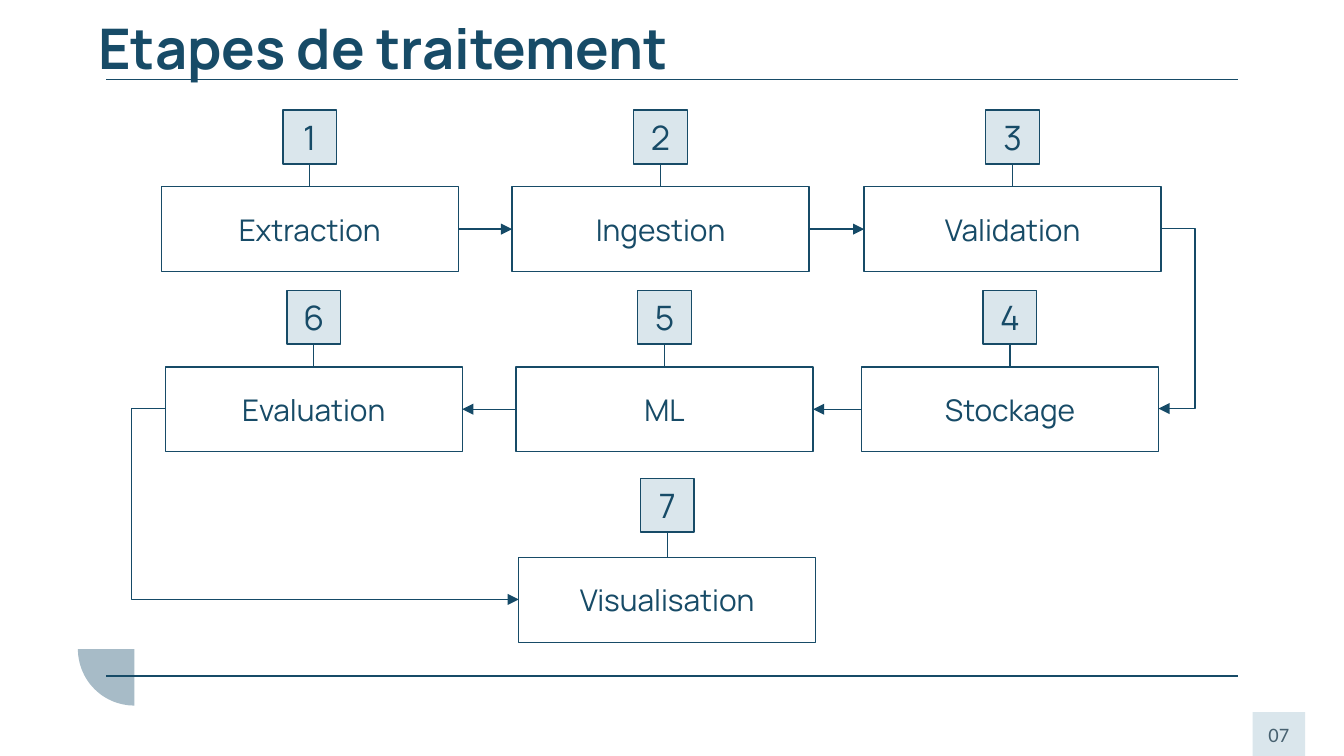
"""Build the slide "Etapes de traitement": a seven-step processing flow."""
import math

from lxml import etree
from pptx import Presentation
from pptx.dml.color import RGBColor
from pptx.enum import shapes, text
from pptx.oxml.ns import qn
from pptx.util import Inches, Pt

NAVY = RGBColor(0x17, 0x4B, 0x67)
ARROW = RGBColor(0x15, 0x4A, 0x67)
PALE = RGBColor(0xDA, 0xE6, 0xEC)
MIST = RGBColor(0xA7, 0xBB, 0xC7)
SLATE = RGBColor(0x47, 0x61, 0x70)
BOX_W, BOX_H, BADGE = 2.21, 0.63, 0.4


def add_box(label, x, y, w, h, size, fill=None, line=NAVY, font="Manrope", color=NAVY):
    sp = s.shapes.add_shape(shapes.MSO_SHAPE.RECTANGLE, Inches(x), Inches(y), Inches(w), Inches(h))
    sp.shadow.inherit = False
    if fill is None:
        sp.fill.background()
    else:
        sp.fill.solid()
        sp.fill.fore_color.rgb = fill
    if line is None:
        sp.line.fill.background()
    else:
        sp.line.color.rgb = line
        sp.line.width = Pt(0.75)
    tf = sp.text_frame
    tf.word_wrap = True
    tf.vertical_anchor = text.MSO_ANCHOR.MIDDLE
    tf.margin_left = tf.margin_right = tf.margin_top = tf.margin_bottom = Inches(0.1)
    p = tf.paragraphs[0]
    p.alignment = text.PP_ALIGN.CENTER
    r = p.add_run()
    r.text = label
    r.font.size = Pt(size)
    r.font.name = font
    r.font.color.rgb = color
    return sp


def add_line(x1, y1, x2, y2, color=NAVY, arrow=False, via=None):
    kind = shapes.MSO_CONNECTOR.STRAIGHT if via is None else shapes.MSO_CONNECTOR.ELBOW
    cxn = s.shapes.add_connector(kind, Inches(x1), Inches(y1), Inches(x2), Inches(y2))
    cxn.line.color.rgb = color
    cxn.line.width = Pt(0.75)
    sp_pr = cxn._element.spPr
    if arrow:
        etree.SubElement(sp_pr.find(qn("a:ln")), qn("a:tailEnd"), type="triangle")
    if via is not None:
        guides = sp_pr.find(qn("a:prstGeom")).find(qn("a:avLst"))
        bend = round((via - x1) / (x2 - x1) * 100000)
        etree.SubElement(guides, qn("a:gd"), name="adj1", fmla=f"val {bend}")
    etree.SubElement(sp_pr, qn("a:effectLst"))
    return cxn


prs = Presentation()
prs.slide_width = Inches(10)
prs.slide_height = Inches(10) * 9 // 16
s = prs.slides.add_slide(prs.slide_layouts[5])

arc = [math.radians(180 - 3 * i) for i in range(31)]
points = [(Inches(1 + 0.42 * math.cos(a)), Inches(4.83 + 0.42 * math.sin(a))) for a in arc]
builder = s.shapes.build_freeform(Inches(1), Inches(4.83))
builder.add_line_segments(points, close=True)
quarter = builder.convert_to_shape()
quarter.shadow.inherit = False
quarter.fill.solid()
quarter.fill.fore_color.rgb = MIST
quarter.line.fill.background()

for y in (0.59, 5.03):
    add_line(0.79, y, 9.21, y)

title = s.shapes.title
title.left, title.top, title.width, title.height = Inches(0.63), Inches(0), Inches(8.43), Inches(0.57)
tf = title.text_frame
tf.auto_size = text.MSO_AUTO_SIZE.NONE
tf.word_wrap = True
tf.vertical_anchor = text.MSO_ANCHOR.TOP
tf.margin_left = tf.margin_right = tf.margin_top = tf.margin_bottom = Inches(0.1)
p = tf.paragraphs[0]
p.alignment = text.PP_ALIGN.LEFT
p.line_spacing = 1.0
r = p.add_run()
r.text = "Etapes de traitement"
r.font.size = Pt(30)
r.font.name = "Manrope"
r.font.bold = True
r.font.color.rgb = NAVY

steps = [
    ("Extraction", 1.2, 1.39, 0.82),
    ("Ingestion", 3.81, 1.39, 0.82),
    ("Validation", 6.43, 1.39, 0.82),
    ("Stockage", 6.41, 2.73, 2.16),
    ("ML", 3.84, 2.73, 2.16),
    ("Evaluation", 1.23, 2.73, 2.16),
    ("Visualisation", 3.86, 4.15, 3.56),
]
boxes = []
for number, (label, x, y, badge_y) in enumerate(steps, 1):
    box = add_box(label, x, y, BOX_W, BOX_H, 16)
    center = x + BOX_W / 2
    badge = add_box(str(number), center - BADGE / 2, badge_y, BADGE, BADGE, 18, PALE)
    stem = add_line(center, badge_y + BADGE, center, y, NAVY if number < 6 else ARROW)
    stem.begin_connect(badge, 2)
    stem.end_connect(box, 0)
    boxes.append(box)

for start, end, out_side, in_side in [(0, 1, 3, 1), (1, 2, 3, 1), (3, 4, 1, 3), (4, 5, 1, 3)]:
    flow = add_line(0, 0, 1, 0, ARROW, arrow=True)
    flow.begin_connect(boxes[start], out_side)
    flow.end_connect(boxes[end], in_side)

add_line(8.64, 1.7, 8.62, 3.04, ARROW, arrow=True, via=8.89)
add_line(1.23, 3.04, 3.86, 4.46, ARROW, arrow=True, via=0.98)

add_box("07", 9.32, 5.3, 0.39, 0.33, 11, PALE, None, "Calibri", SLATE)

prs.save("out.pptx")
